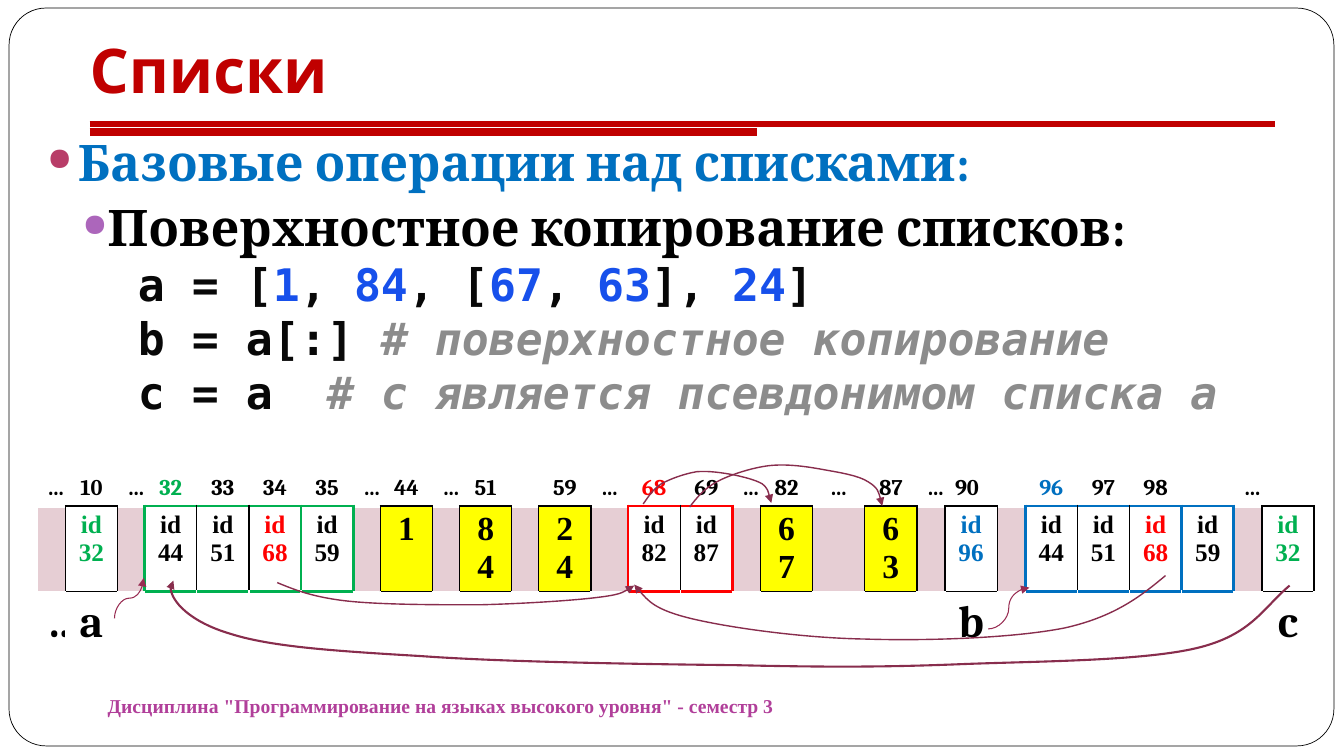
from dataclasses import dataclass
from lxml import etree
from pptx import Presentation
from pptx.dml.color import RGBColor
from pptx.enum.shapes import MSO_CONNECTOR as Connector, MSO_SHAPE as Shape
from pptx.enum.text import MSO_ANCHOR as Anchor, PP_ALIGN as Align
from pptx.oxml.ns import qn
from pptx.util import Inches, Pt

BLACK = RGBColor(0x00, 0x00, 0x00)
WHITE = RGBColor(0xFF, 0xFF, 0xFF)
RED = RGBColor(0xFF, 0x00, 0x00)
GREEN = RGBColor(0x00, 0xB0, 0x50)
BLUE = RGBColor(0x00, 0x70, 0xC0)
YELLOW = RGBColor(0xFF, 0xFF, 0x00)
PINK = RGBColor(0xE6, 0xCE, 0xD4)
CRIMSON = RGBColor(0xC0, 0x00, 0x00)
PURPLE = RGBColor(0xB1, 0x3F, 0x9A)
CODE = RGBColor(0x08, 0x08, 0x08)
NUMBER = RGBColor(0x17, 0x50, 0xEB)
COMMENT = RGBColor(0x8C, 0x8C, 0x8C)
ROSE_BULLET = RGBColor(0xB8, 0x3D, 0x68)
LILAC_BULLET = RGBColor(0xAC, 0x66, 0xBB)
LINK = RGBColor(0x98, 0x2C, 0x52)
ARROW = RGBColor(0x88, 0x2D, 0x4D)
SERIF, MONO, TIMES, TITLE = "Cambria", "DejaVu Sans Mono", "Times New Roman", "Cabin"


@dataclass
class Memory:
    """One column of the memory strip; a gap has no frame."""
    address: str
    value: str = ""
    frame: RGBColor = None
    address_color: RGBColor = BLACK
    value_color: RGBColor = BLACK
    name: str = ""
    width: float = 0.52


def gap(address="…", width=0.28, name=""):
    """Return a gap between the memory cells."""
    return Memory(address, width=width, name=name)


def list_cells(addresses, color):
    """Return the four cells of the outer list."""
    values = ("id 44", "id 51", "id 68", "id 59")
    return [Memory(address, value, color, color if i == 0 else BLACK, RED if value == "id 68" else BLACK)
            for i, (address, value) in enumerate(zip(addresses, values))]


MEMORY = [
    gap(name="…"), Memory("10", "id 32", BLACK, value_color=GREEN, name="a"), gap(width=0.27),
    *list_cells(("32", "33", "34", "35"), GREEN), gap(width=0.27),
    Memory("44", "1", BLACK), gap(width=0.27), Memory("51", "84", BLACK), gap("", 0.27),
    Memory("59", "24", BLACK), gap(width=0.37),
    Memory("68", "id 82", RED, RED), Memory("69", "id 87", RED), gap(),
    Memory("82", "67", BLACK), gap(width=0.52), Memory("87", "63", BLACK), gap(),
    Memory("90", "id 96", BLACK, value_color=BLUE, name="b"), gap(""),
    *list_cells(("96", "97", "98", ""), BLUE), gap(),
    Memory("", "id 32", BLACK, value_color=GREEN, name="c"),
]

CODE_LINES = [
    [("a = [", CODE), ("1", NUMBER), (", ", CODE), ("84", NUMBER), (", [", CODE), ("67", NUMBER),
     (", ", CODE), ("63", NUMBER), ("], ", CODE), ("24", NUMBER), ("]", CODE)],
    [("b = a[:] ", CODE), ("# поверхностное копирование", COMMENT)],
    [("c = a  ", CODE), ("# с является псевдонимом списка a", COMMENT)],
]

CURVES = [
    (1.5, [(12.79, 5.81), (12.52, 6.04), (12.41, 6.3), (11.87, 6.43), (11.32, 6.56), (10.29, 6.56),
           (9.53, 6.59), (8.77, 6.62), (8.2, 6.62), (7.31, 6.6), (6.42, 6.59), (5.01, 6.57), (4.18, 6.51),
           (3.34, 6.46), (2.7, 6.42), (2.29, 6.29), (1.88, 6.17), (1.6, 5.87), (1.72, 5.76)]),
    (1, [(2.75, 5.78), (2.92, 5.85), (3.09, 5.92), (3.42, 5.96), (3.76, 6), (4.34, 6), (4.75, 6),
         (5.17, 5.99), (5.65, 5.96), (5.9, 5.93), (6.16, 5.9), (6.23, 5.85), (6.29, 5.81)]),
    (1, [(11.56, 5.71), (11.31, 5.92), (11.05, 6.12), (10.56, 6.23), (10.06, 6.33), (9.2, 6.36), (8.58, 6.34),
         (7.97, 6.33), (7.25, 6.23), (6.87, 6.14), (6.49, 6.05), (6.39, 5.92), (6.29, 5.8)]),
    (1, [(6.84, 5.03), (6.91, 4.94), (6.98, 4.85), (7.11, 4.78), (7.24, 4.71), (7.46, 4.64), (7.63, 4.62),
         (7.81, 4.6), (8.01, 4.63), (8.17, 4.66), (8.34, 4.69), (8.52, 4.72), (8.61, 4.78),
         (8.71, 4.84), (8.73, 4.93), (8.75, 5.02)]),
    (1, [(6.38, 5), (6.43, 4.93), (6.47, 4.86), (6.56, 4.8), (6.65, 4.75), (6.79, 4.7), (6.91, 4.68),
         (7.03, 4.67), (7.16, 4.69), (7.27, 4.71), (7.37, 4.73), (7.49, 4.76), (7.56, 4.8),
         (7.62, 4.85), (7.63, 4.92), (7.65, 4.99)]),
]


def write(paragraph, text, size=18, font=SERIF, color=BLACK, italic=False, align=None):
    """Add a bold run of text to a paragraph."""
    run = paragraph.add_run()
    run.text = text
    run.font.size, run.font.name = Pt(size), font
    run.font.bold, run.font.italic = True, italic
    run.font.color.rgb = color
    if align is not None:
        paragraph.alignment = align


def next_paragraph(frame):
    """Return the empty first paragraph or a new one."""
    first = frame.paragraphs[0]
    return frame.add_paragraph() if first.runs else first


def frame_edge(color):
    """Return colour and width of a frame edge."""
    return color, 1 if color == BLACK else 2.25


def side_edge(left, right):
    """Return the edge between two neighbouring memory columns."""
    if left and right and left.frame and right.frame:
        return frame_edge(left.frame if left.value_color == RED else BLACK)
    color = (left and left.frame) or (right and right.frame)
    return frame_edge(color) if color else (WHITE, 1)


class SlideBuilder:
    """Draws the elements of the current slide in one style."""

    def __init__(self, presentation):
        self.slide = presentation.slides.add_slide(presentation.slide_layouts[6])
        self.shapes = self.slide.shapes

    def border(self):
        """Draw the rounded slide border."""
        shape = self.shapes.add_shape(Shape.ROUNDED_RECTANGLE, Inches(0.09), Inches(0.08),
                                      Inches(13.14), Inches(7.32))
        shape.adjustments[0] = 0.05
        shape.shadow.inherit = False
        shape.fill.solid()
        shape.fill.fore_color.rgb = WHITE
        shape.line.color.rgb, shape.line.width = BLACK, Pt(0.5)

    def text_box(self, left, top, width, height, anchor=Anchor.TOP):
        """Add a wrapping text box and return its text frame."""
        frame = self.shapes.add_textbox(Inches(left), Inches(top), Inches(width), Inches(height)).text_frame
        frame.word_wrap, frame.vertical_anchor = True, anchor
        return frame

    def body_paragraph(self, frame, runs, margin, indent=0, before=0, bullet=None, **style):
        """Add an indented paragraph, with a bullet if a colour is given."""
        paragraph = next_paragraph(frame)
        properties = paragraph._p.get_or_add_pPr()
        properties.set("marL", str(Inches(margin)))
        properties.set("indent", str(Inches(indent)))
        if bullet:
            color = etree.SubElement(properties, qn("a:buClr"))
            etree.SubElement(color, qn("a:srgbClr"), val=str(bullet))
            etree.SubElement(properties, qn("a:buSzPct"), val="63000")
            etree.SubElement(properties, qn("a:buChar"), char="●")
        paragraph.space_before = Pt(before)
        for text, color in runs:
            write(paragraph, text, color=color, italic=color == COMMENT, **style)

    def line(self, start, end, color, width, kind=Connector.STRAIGHT):
        """Draw a connector without shadow."""
        connector = self.shapes.add_connector(kind, *map(Inches, start + end))
        connector.line.color.rgb, connector.line.width = color, Pt(width)
        etree.SubElement(connector._element.spPr, qn("a:effectLst"))
        return connector

    def arrowhead(self, shape):
        """Put a triangle at the end of a line."""
        etree.SubElement(shape.line._get_or_add_ln(), qn("a:tailEnd"), type="triangle")

    def curve(self, points, width):
        """Draw an arrow along cubic segments."""
        start, *rest = [(Inches(x), Inches(y)) for x, y in points]
        builder = self.shapes.build_freeform(*start)
        builder.add_line_segments(rest, close=False)
        shape = builder.convert_to_shape()
        shape.shadow.inherit = False
        shape.fill.background()
        shape.line.color.rgb, shape.line.width = ARROW, Pt(width)
        self.arrowhead(shape)
        steps = list(shape._element.iter(qn("a:lnTo")))
        for i in range(0, len(steps), 3):
            cubic = etree.Element(qn("a:cubicBezTo"))
            steps[i].addprevious(cubic)
            for step in steps[i:i + 3]:
                cubic.append(step[0])
                step.getparent().remove(step)

    def cell(self, cell, fill, edges):
        """Fill a table cell and draw its edges."""
        cell.fill.solid()
        cell.fill.fore_color.rgb = fill
        properties = cell._tc.get_or_add_tcPr()
        for i, (side, (color, width)) in enumerate(zip("LRTB", edges)):
            edge = etree.Element(qn(f"a:ln{side}"), w=str(Pt(width)))
            solid = etree.SubElement(edge, qn("a:solidFill"))
            etree.SubElement(solid, qn("a:srgbClr"), val=str(color))
            properties.insert(i, edge)

    def memory_table(self, columns):
        """Draw addresses, cell contents and variable names."""
        table = self.shapes.add_table(3, len(columns), Inches(0.37), Inches(4.3),
                                      Inches(12.67), Inches(2.16)).table
        table.first_row = table.horz_banding = False
        total = sum(memory.width for memory in columns)
        plain = (WHITE, 1)
        neighbours = zip([None] + columns, columns, columns[1:] + [None])
        for i, (left, memory, right) in enumerate(neighbours):
            table.columns[i].width = Inches(12.67 * memory.width / total)
            address, value, name = (table.cell(row, i) for row in range(3))
            top = frame_edge(memory.frame) if memory.frame else (WHITE, 3)
            bottom = frame_edge(memory.frame) if memory.frame else plain
            parts = memory.value.split()
            fill = (PINK, YELLOW, WHITE)[len(parts)]
            self.cell(address, WHITE, (plain, plain, plain, top))
            self.cell(value, fill, (side_edge(left, memory), side_edge(memory, right), top, bottom))
            self.cell(name, WHITE, (plain, plain, bottom, plain))
            address.vertical_anchor = Anchor.BOTTOM
            value.margin_bottom = 0
            if memory.address:
                write(address.text_frame.paragraphs[0], memory.address, 16, color=memory.address_color,
                      align=Align.LEFT if memory.address == "90" else Align.CENTER)
            for part in parts:
                write(next_paragraph(value.text_frame), part, 24 if len(parts) == 1 else 18, TIMES,
                      memory.value_color, align=Align.CENTER)
            if memory.name:
                write(name.text_frame.paragraphs[0], memory.name, 32, align=Align.CENTER)
        for row in table.rows:
            row.height = Inches(0.72)


def main():
    """Build the slide and save it."""
    presentation = Presentation()
    presentation.slide_width, presentation.slide_height = Inches(13.33), Inches(7.5)
    builder = SlideBuilder(presentation)
    builder.border()
    builder.line((0.89, 1.23), (12.65, 1.23), CRIMSON, 4.5)
    builder.line((0.89, 1.31), (7.51, 1.31), CRIMSON, 6)
    body = builder.text_box(0.37, 1.25, 12.67, 5.5)
    builder.body_paragraph(body, [("Базовые операции над списками:", BLUE)], 0.3, -0.3, 5.8, ROSE_BULLET, size=36)
    builder.body_paragraph(body, [("Поверхностное копирование списков:", BLACK)], 0.6, -0.25, 3.7,
                           LILAC_BULLET, size=36)
    for runs in CODE_LINES:
        builder.body_paragraph(body, runs, 0.9, size=32, font=MONO)
    title = builder.text_box(0.79, 0.14, 11.97, 1.01, Anchor.BOTTOM)
    title.margin_bottom = Inches(0.1)
    write(title.paragraphs[0], "Списки", 44, TITLE, CRIMSON)
    footer = builder.text_box(0.97, 6.75, 7.4, 0.5, Anchor.MIDDLE)
    write(footer.paragraphs[0], 'Дисциплина "Программирование на языках высокого уровня" - семестр 3', 14, TIMES, PURPLE)
    builder.memory_table(MEMORY)
    link_a = builder.line((1.48, 6.08), (1.08, 5.79), LINK, 0.75, Connector.CURVE)
    link_a._element.spPr.find(qn("a:xfrm")).set("rot", "5400000")
    link_b = builder.line((9.8, 6.24), (10.21, 5.83), LINK, 0.75, Connector.CURVE)
    for link in (link_a, link_b):
        builder.arrowhead(link)
    for width, points in CURVES:
        builder.curve(points, width)
    presentation.save("out.pptx")


if __name__ == "__main__":
    main()
